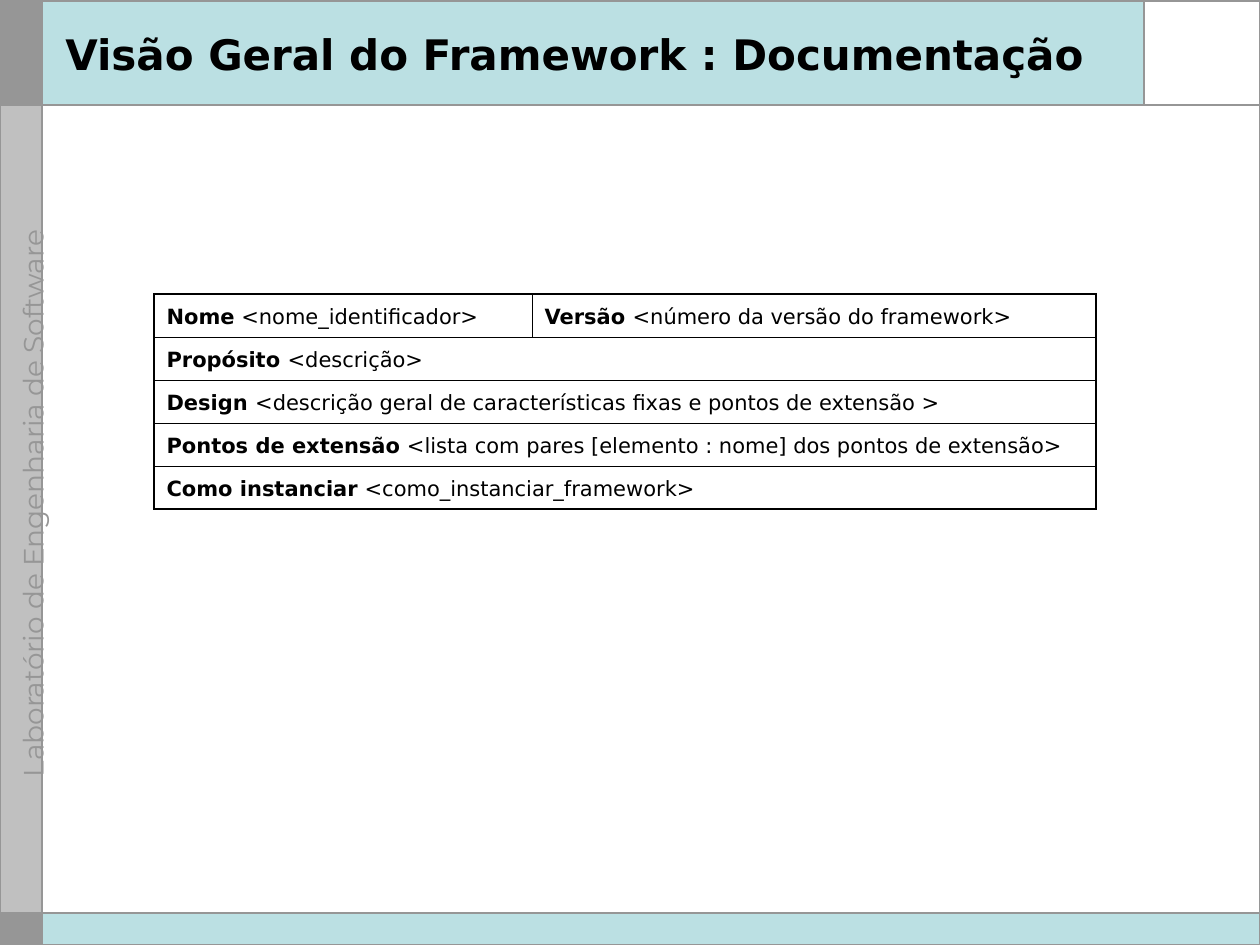
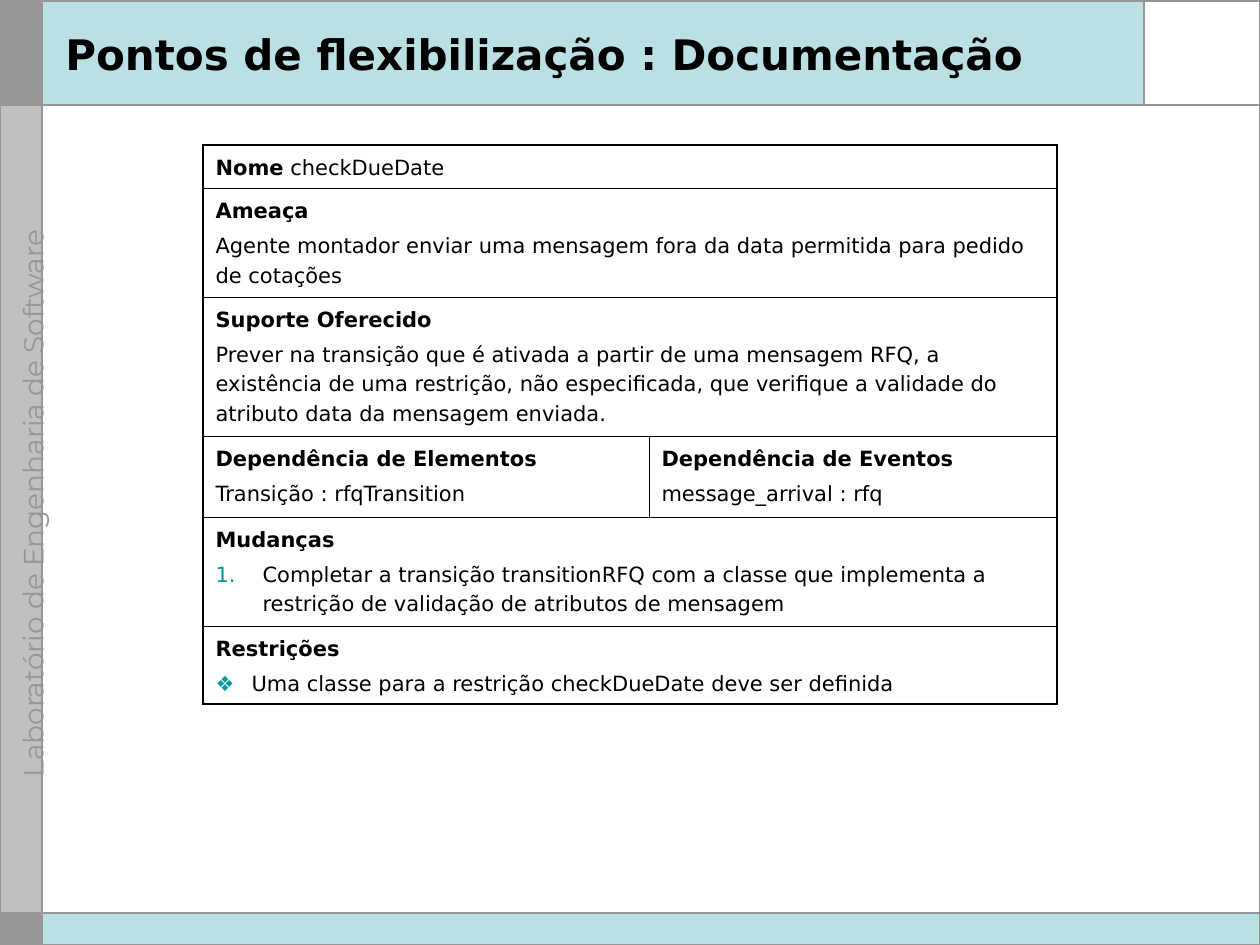
from dataclasses import dataclass

from lxml import etree
from pptx import Presentation
from pptx.dml.color import RGBColor
from pptx.enum.shapes import MSO_CONNECTOR, MSO_SHAPE
from pptx.enum.text import MSO_ANCHOR, PP_ALIGN
from pptx.oxml.ns import qn
from pptx.util import Emu, Pt

RECTANGLE = MSO_SHAPE.RECTANGLE
STRAIGHT = MSO_CONNECTOR.STRAIGHT
TOP, MIDDLE = MSO_ANCHOR.TOP, MSO_ANCHOR.MIDDLE
CENTER = PP_ALIGN.CENTER


@dataclass(frozen=True)
class Theme:
    font: str = "DejaVu Sans"
    label_font: str = "Montserrat"
    text: str = "000000"
    gray: str = "969696"
    light_gray: str = "C0C0C0"
    band: str = "BBE0E3"
    white: str = "FFFFFF"
    bullet: str = "009999"
    title_size: int = 24
    label_size: int = 16
    cell_size: int = 12
    line_spacing: float = 1.2
    space_before: int = 3
    outer_border: float = 1.08
    inner_border: float = 0.45


THEME = Theme()
WIDTH, HEIGHT = 1260, 945
SIDE, HEADER, CORNER, FOOTER = 42, 105, 1144, 913
LAB_NAME = "Laboratório de Engenharia de Software"

# Colour, left, top, right, bottom
BLOCKS = [
    (THEME.gray, 0, 0, SIDE, HEADER),
    (THEME.band, SIDE, 0, CORNER, HEADER),
    (THEME.light_gray, 0, HEADER, SIDE, FOOTER),
    (THEME.white, CORNER, 0, WIDTH, HEADER),
    (THEME.band, SIDE, FOOTER, WIDTH, HEIGHT),
    (THEME.gray, 0, FOOTER, SIDE, HEIGHT),
]
RULES = [
    (CORNER, 0, CORNER, HEADER),
    (0, HEADER, WIDTH, HEADER),
    (SIDE, 0, SIDE, HEIGHT),
    (0, FOOTER, WIDTH, FOOTER),
]

INLINE, BELOW, NUMBERED, DIAMOND = "inline", "below", "numbered", "diamond"
# Hanging indent, bullet element, bullet attributes
BULLETS = {
    NUMBERED: (47, "a:buAutoNum", {"type": "arabicPeriod"}),
    DIAMOND: (36, "a:buChar", {"char": "❖"}),
}

# Each row is a height and its cells; each cell is a label, a value and a layout.
PAGES = [
    {
        "title": "Visão Geral do Framework : Documentação",
        "origin": (154, 294),
        "columns": (378, 564),
        "rows": [
            (43, [("Nome", " <nome_identificador>", INLINE),
                  ("Versão ", "<número da versão do framework>", INLINE)]),
            (43, [("Propósito ", "<descrição>", INLINE)]),
            (43, [("Design ", "<descrição geral de características fixas "
                              "e pontos de extensão >", INLINE)]),
            (43, [("Pontos de extensão", " <lista com pares [elemento : nome] "
                                         "dos pontos de extensão>", INLINE)]),
            (43, [("Como instanciar", " <como_instanciar_framework>", INLINE)]),
        ],
    },
    {
        "title": "Pontos de flexibilização : Documentação",
        "origin": (203, 145),
        "columns": (446, 408),
        "rows": [
            (43, [("Nome", " checkDueDate", INLINE)]),
            (109, [("Ameaça", "Agente montador enviar uma mensagem fora da data "
                              "permitida para pedido de cotações", BELOW)]),
            (139, [("Suporte Oferecido",
                    "Prever na transição que é ativada a partir de uma mensagem "
                    "RFQ, a existência de uma restrição, não especificada, que "
                    "verifique a validade do atributo data da mensagem enviada.",
                    BELOW)]),
            (81, [("Dependência de Elementos", "Transição : rfqTransition", BELOW),
                  ("Dependência de Eventos", "message_arrival : rfq", BELOW)]),
            (109, [("Mudanças",
                    "Completar a transição transitionRFQ com a classe que "
                    "implementa a restrição de validação de atributos de mensagem",
                    NUMBERED)]),
            (78, [("Restrições", "Uma classe para a restrição checkDueDate "
                                 "deve ser definida", DIAMOND)]),
        ],
    },
]


def px(value):
    return Emu(round(value * 914400 / 126))


def color(value):
    return RGBColor.from_string(value)


def add_span(para, text, size, bold=False, font=THEME.font, tint=THEME.text):
    span = para.add_run()
    span.text = text
    span.font.name = font
    span.font.size = Pt(size)
    span.font.bold = bold
    span.font.color.rgb = color(tint)


def add_box(page, left, top, width, height, anchor, wrap):
    box = page.shapes.add_textbox(px(left), px(top), px(width), px(height))
    box.text_frame.word_wrap = wrap
    box.text_frame.vertical_anchor = anchor
    return box


def add_rectangle(page, left, top, right, bottom):
    shape = page.shapes.add_shape(
        RECTANGLE, px(left), px(top), px(right - left), px(bottom - top))
    shape.shadow.inherit = False
    return shape


def add_rule(page, ends):
    rule = page.shapes.add_connector(STRAIGHT, *map(px, ends))
    rule.line.color.rgb = color(THEME.gray)
    rule.line.width = Pt(1)
    etree.SubElement(rule._element.spPr, qn("a:effectLst"))


def add_frame(page, title):
    """Draw the bands, rules, side label and title that every page has."""
    for fill, *edges in BLOCKS:
        block = add_rectangle(page, *edges)
        block.fill.solid()
        block.fill.fore_color.rgb = color(fill)
        block.line.fill.background()

    label = add_box(page, -279, 492, 600, 23, TOP, False)
    label.rotation = 270
    para = label.text_frame.paragraphs[0]
    para.alignment = CENTER
    add_span(para, LAB_NAME, THEME.label_size,
             font=THEME.label_font, tint=THEME.gray)

    for ends in RULES:
        add_rule(page, ends)
    border = add_rectangle(page, 0, 1, WIDTH, HEIGHT)
    border.fill.background()
    border.line.color.rgb = color(THEME.gray)
    border.line.width = Pt(1)

    heading = add_box(page, 53, 15, 1081, 78, MIDDLE, True)
    add_span(heading.text_frame.paragraphs[0], title, THEME.title_size, bold=True)


def add_bullet(para, layout):
    indent, tag, attributes = BULLETS[layout]
    properties = para._p.get_or_add_pPr()
    properties.set("marL", str(px(indent)))
    properties.set("indent", str(-px(indent)))
    tint = etree.SubElement(properties, qn("a:buClr"))
    etree.SubElement(tint, qn("a:srgbClr"), val=THEME.bullet)
    etree.SubElement(properties, qn("a:buFont"), typeface=THEME.font)
    etree.SubElement(properties, qn(tag), attributes)


def fill_cell(cell, label, value, layout):
    frame = cell.text_frame
    para = frame.paragraphs[0]
    para.line_spacing = THEME.line_spacing
    add_span(para, label, THEME.cell_size, bold=True)
    if layout != INLINE:
        para = frame.add_paragraph()
        para.line_spacing = THEME.line_spacing
        para.space_before = Pt(THEME.space_before)
        if layout in BULLETS:
            add_bullet(para, layout)
    add_span(para, value, THEME.cell_size)


def add_borders(cell, outer_sides):
    """Give a cell its borders; outer_sides maps L, R, T, B to outer or not."""
    properties = cell._tc.get_or_add_tcPr()
    for side, outer in outer_sides.items():
        width = THEME.outer_border if outer else THEME.inner_border
        line = etree.SubElement(properties, qn(f"a:ln{side}"), w=str(Pt(width)))
        fill = etree.SubElement(line, qn("a:solidFill"))
        etree.SubElement(fill, qn("a:srgbClr"), val=THEME.text)


def add_form(page, origin, columns, rows):
    heights = [height for height, _ in rows]
    table = page.shapes.add_table(
        len(rows), len(columns), *map(px, origin),
        px(sum(columns)), px(sum(heights))).table
    table.first_row = table.horz_banding = False
    for column, width in zip(table.columns, columns):
        column.width = px(width)

    last_row, last_column = len(rows) - 1, len(columns) - 1
    for r, (height, fields) in enumerate(rows):
        table.rows[r].height = px(height)
        merged = len(fields) == 1
        if merged:
            table.cell(r, 0).merge(table.cell(r, last_column))
        for c in range(len(columns)):
            cell = table.cell(r, c)
            sides = {"L": c == 0, "R": merged or c == last_column,
                     "T": r == 0, "B": r == last_row}
            if cell.is_spanned:
                del sides["L"]
            add_borders(cell, sides)
            cell.fill.background()
        for c, field in enumerate(fields):
            fill_cell(table.cell(r, c), *field)


def main():
    deck = Presentation()
    deck.slide_width, deck.slide_height = px(WIDTH), px(HEIGHT)
    for content in PAGES:
        page = deck.slides.add_slide(deck.slide_layouts[6])
        add_frame(page, content["title"])
        add_form(page, content["origin"], content["columns"], content["rows"])
    deck.save("out.pptx")


if __name__ == "__main__":
    main()
